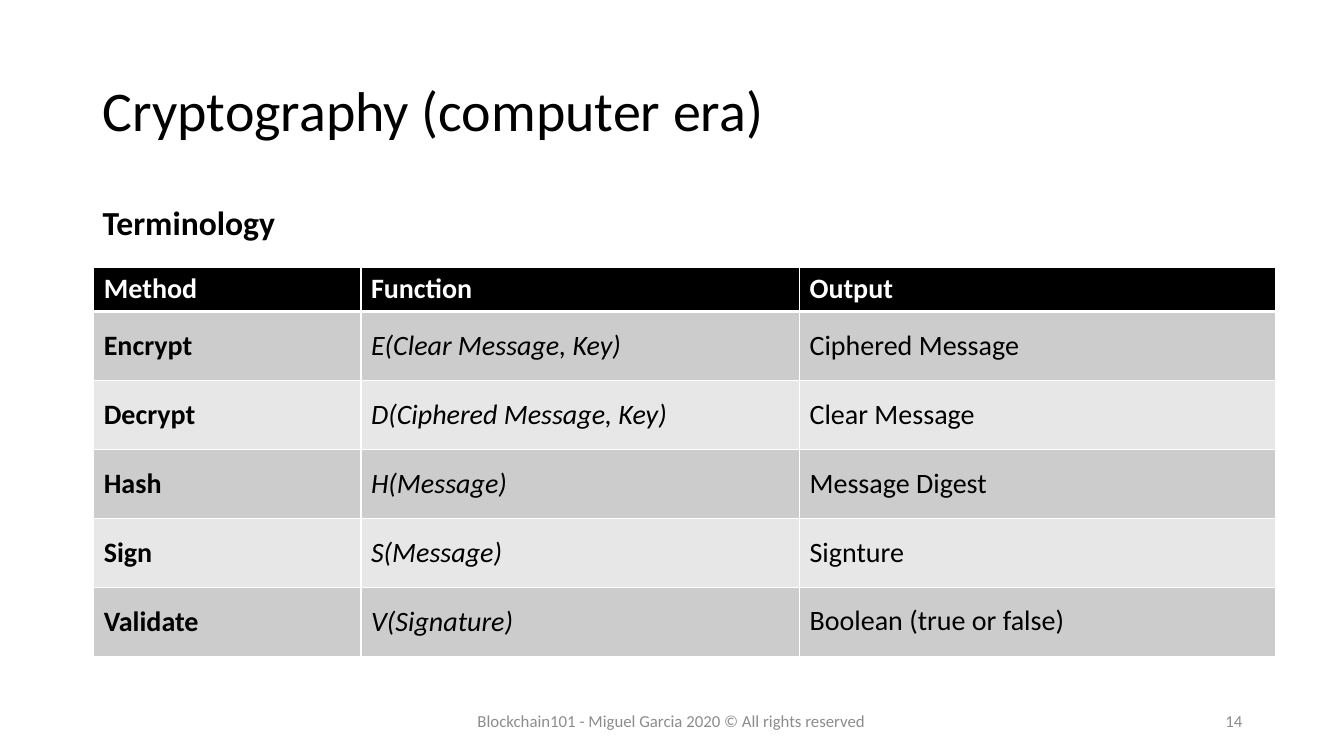
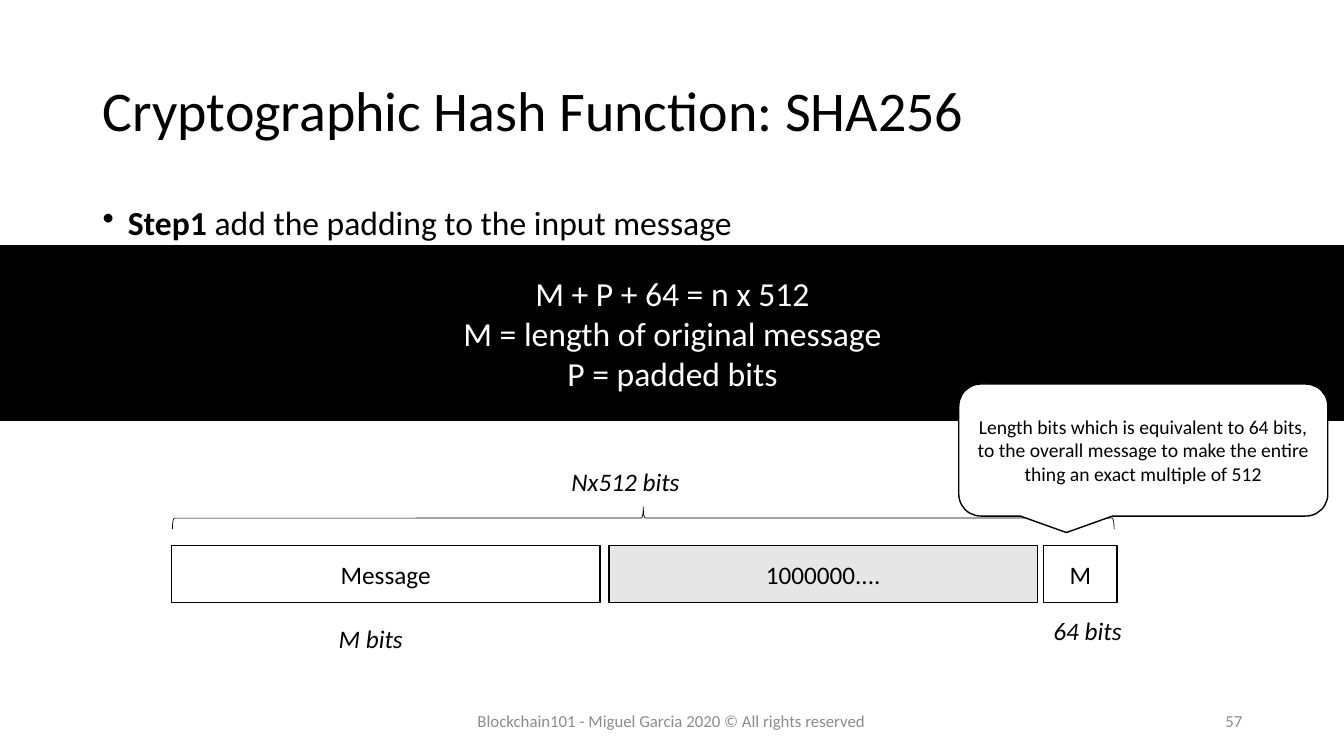
import pptx
import pptx.util
import pptx.dml.color
import pptx.enum.shapes
import pptx.enum.text
import pptx.oxml.ns
from lxml import etree

Inches, Pt = pptx.util.Inches, pptx.util.Pt
Kind = pptx.enum.shapes.MSO_SHAPE
Align = pptx.enum.text.PP_ALIGN
Anchor = pptx.enum.text.MSO_ANCHOR
Fit = pptx.enum.text.MSO_AUTO_SIZE
qn = pptx.oxml.ns.qn

FONT = "Calibri"
BLACK, WHITE, GREY = "000000", "FFFFFF", "8C8C8C"
BANDS = ("CCCCCC", "E7E7E7")
FOOTER = "Blockchain101 - Miguel Garcia 2020 © All rights reserved"
BODY = (0.92, 2, 11.5, 4.76)
PROSE = dict(spacing=0.9, before=10)

HEAD = ("Method", "Function", "Output")
TERMS = [
    ("Encrypt", "E(Clear Message, Key)", "Ciphered Message"),
    ("Decrypt", "D(Ciphered Message, Key)", "Clear Message"),
    ("Hash", "H(Message)", "Message Digest"),
    ("Sign", "S(Message)", "Signture"),
    ("Validate", "V(Signature)", "Boolean (true or false)"),
]
COLS = (2.65, 4.35, 4.72)
STYLES = (dict(bold=True), dict(italic=True), PROSE)

RULES = ["M + P + 64 = n x 512", "M = length of original message",
         "P = padded bits"]
# text, left, width, fill
BLOCKS = [
    ("Message", 1.7, 4.25, WHITE),
    ("1000000....", 6.04, 4.25, "E7E6E6"),
    ("M", 10.35, 0.73, WHITE),
]
# text, left, top, width
LABELS = [
    ("M bits", 3.26, 6.13, 1.38),
    ("64 bits", 10.35, 6.06, 1.38),
    ("Nx512 bits", 5.57, 4.58, 2.2),
]
NOTE = ("Length bits which is equivalent to 64 bits, to the overall message "
        "to make the entire thing an exact multiple of 512")


def rgb(code):
    return pptx.dml.color.RGBColor.from_string(code)


def inch(values):
    return [Inches(v) for v in values]


def put(frame, text, size=18, color=BLACK, bold=False, italic=False,
        align=Align.LEFT, spacing=None, before=None, bullet=None):
    """Fill a frame; text is a string or a list of lines, and a line is
    a string or a list of (words, bold) runs."""
    lines = [text] if isinstance(text, str) else text
    for i, line in enumerate(lines):
        para = frame.add_paragraph() if i else frame.paragraphs[0]
        para.alignment = align
        if spacing:
            para.line_spacing = spacing
        if before:
            para.space_before = Pt(before)
        if bullet:
            props = para._p.get_or_add_pPr()
            props.set("marL", str(Inches(0.25)))
            props.set("indent", str(-Inches(0.25)))
            etree.SubElement(props, qn("a:buChar"), char=bullet)
        for words, heavy in [(line, bold)] if isinstance(line, str) else line:
            run = para.add_run()
            run.text = words
            font = run.font
            font.name, font.size = FONT, Pt(size)
            font.bold, font.italic = heavy, italic
            font.color.rgb = rgb(color)


def box(slide, area, text, anchor=Anchor.TOP, fit=Fit.NONE, **style):
    frame = slide.shapes.add_textbox(*inch(area)).text_frame
    frame.word_wrap = True
    frame.auto_size = fit
    frame.vertical_anchor = anchor
    put(frame, text, **style)


def shape(slide, kind, area, fill=None, line=1, text=None, **style):
    item = slide.shapes.add_shape(kind, *inch(area))
    item.shadow.inherit = False
    if fill:
        item.fill.solid()
        item.fill.fore_color.rgb = rgb(fill)
    else:
        item.fill.background()
    item.line.color.rgb = rgb(BLACK)
    item.line.width = Pt(line)
    if text:
        item.text_frame.word_wrap = True
        item.text_frame.vertical_anchor = Anchor.MIDDLE
        put(item.text_frame, text, align=Align.CENTER, **style)
    return item


def edge(cell, side, width):
    """Draw one white border of a table cell."""
    line = etree.SubElement(cell._tc.get_or_add_tcPr(), qn("a:ln" + side),
                            w=str(Pt(width)))
    fill = etree.SubElement(line, qn("a:solidFill"))
    etree.SubElement(fill, qn("a:srgbClr"), val=WHITE)


def start(deck, name, number):
    """Add a slide with its title, footer and number."""
    slide = deck.slides.add_slide(deck.slide_layouts[5])
    title = slide.shapes.title
    title.left, title.top, title.width, title.height = inch(
        (0.92, 0.4, 11.5, 1.45))
    title.text_frame.auto_size = Fit.NONE
    title.text_frame.vertical_anchor = Anchor.MIDDLE
    put(title.text_frame, name, size=40, spacing=0.9)
    small = dict(size=12, color=GREY, anchor=Anchor.MIDDLE)
    box(slide, (4.07, 6.95, 5.18, 0.4), FOOTER, align=Align.CENTER, **small)
    box(slide, (9.42, 6.95, 3, 0.4), number, align=Align.RIGHT, **small)
    return slide


def terms(deck):
    slide = start(deck, "Cryptography (computer era)", "14")
    box(slide, BODY, "Terminology", size=24, bold=True, **PROSE)
    rows = [HEAD] + TERMS
    high, top = 3.86, 0.44
    table = slide.shapes.add_table(
        len(rows), len(COLS), *inch((0.93, 2.65, sum(COLS), high))).table
    for col, width in zip(table.columns, COLS):
        col.width = Inches(width)
    for r, row in enumerate(rows):
        table.rows[r].height = Inches((high - top) / len(TERMS) if r else top)
        for c, text in enumerate(row):
            cell = table.cell(r, c)
            cell.vertical_anchor = Anchor.MIDDLE
            for side in "LRTB":
                thick = (r, side) in ((0, "B"), (1, "T"))
                edge(cell, side, 3 if thick else 1)
            cell.fill.solid()
            cell.fill.fore_color.rgb = rgb(BANDS[(r - 1) % 2] if r else BLACK)
            style = STYLES[c] if r else dict(bold=True, color=WHITE)
            put(cell.text_frame, text, size=20, **style)


def padding(deck):
    slide = start(deck, "Cryptographic Hash Function: SHA256", "57")
    step = [("Step1 ", True), ("add the padding to the input message", False)]
    box(slide, BODY, [step], size=24, bullet="•", **PROSE)
    shape(slide, Kind.ROUNDED_RECTANGLE, (-0.29, 2.44, 13.92, 1.73), BLACK,
          text=RULES, size=24, color=WHITE)
    for text, left, width, fill in BLOCKS:
        shape(slide, Kind.RECTANGLE, (left, 5.41, width, 0.57), fill,
              text=text)
    for text, left, top, width in LABELS:
        box(slide, (left, top, width, 0.4), text, italic=True,
            fit=Fit.SHAPE_TO_FIT_TEXT)
    brace = shape(slide, Kind.LEFT_BRACE, (6.27, 0.47, 0.22, 9.34), line=0.5)
    brace.rotation = 90
    shape(slide, Kind.ROUNDED_RECTANGULAR_CALLOUT, (9.51, 3.81, 3.66, 1.31),
          WHITE, text=NOTE, size=14)


def main():
    deck = pptx.Presentation()
    deck.slide_width, deck.slide_height = inch((13.33, 7.5))
    terms(deck)
    padding(deck)
    deck.save("out.pptx")


if __name__ == "__main__":
    main()
